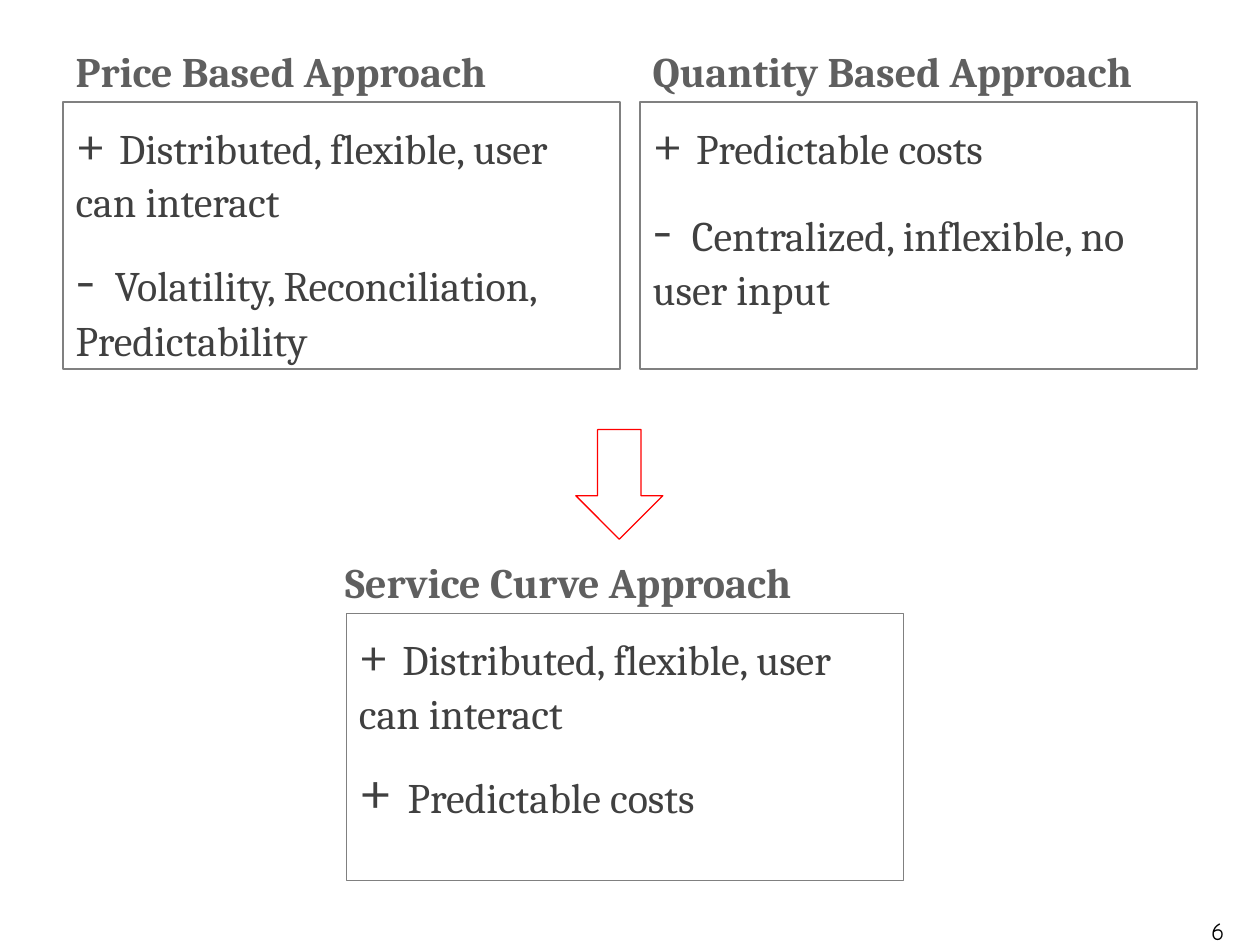
from lxml import etree
from pptx import Presentation
from pptx.dml.color import RGBColor
from pptx.enum import shapes, text
from pptx.oxml import ns
from pptx.util import Pt

INK = {"head": "5F5F5F", "body": "404040", "edge": "808080",
       "arrow": "FF0000", "page": "000000"}
WIDE, HEAD, BODY = 318.24, 50.4, 152.64

FLEX = [("+ ", 32), ("Distributed, flexible, user can interact", 24)]
PRICE = [FLEX, [("-", 36), ("  Volatility, Reconciliation, Predictability", 24)]]
QUANTITY = [[("+ ", 32), ("Predictable costs", 24)],
            [("-", 36), ("  Centralized, inflexible, no user input", 24)]]
SERVICE = [FLEX, [("+ ", 36), ("Predictable costs", 24)]]


def color(name):
    return RGBColor.from_string(INK[name])


def place(shape, left, top, width, height):
    shape.left, shape.top = Pt(left), Pt(top)
    shape.width, shape.height = Pt(width), Pt(height)


def edge(shape, name):
    shape.line.color.rgb = color(name)
    shape.line.width = Pt(0.75)


def add_run(para, words, size, tint, font="Cambria", bold=False):
    run = para.add_run()
    run.text = words
    run.font.size, run.font.name, run.font.bold = Pt(size), font, bold
    run.font.color.rgb = color(tint)


def plain(para):
    """Flush left, no bullet, 20% space before."""
    props = para._p.get_or_add_pPr()
    props.set("marL", "0")
    props.set("indent", "0")
    gap = etree.SubElement(props, ns.qn("a:spcBef"))
    etree.SubElement(gap, ns.qn("a:spcPct")).set("val", "20000")
    etree.SubElement(props, ns.qn("a:buNone"))


def fill(shape, paras, tint, anchor, bold=False):
    frame = shape.text_frame
    frame.word_wrap = True
    frame.auto_size = text.MSO_AUTO_SIZE.NONE
    frame.vertical_anchor = anchor
    for i, runs in enumerate(paras):
        para = frame.add_paragraph() if i else frame.paragraphs[0]
        plain(para)
        for words, size in runs:
            add_run(para, words, size, tint, bold=bold)


def panel(head, body, left, top, title, points, shift=0):
    """Heading above an outlined box of points."""
    place(head, left + shift, top, WIDE, HEAD)
    fill(head, [[(title, 24)]], "head", text.MSO_ANCHOR.BOTTOM, bold=True)
    place(body, left, top + HEAD, WIDE, BODY)
    edge(body, "edge")
    fill(body, points, "body", text.MSO_ANCHOR.TOP)


def arrow(slide, left, top, width, height):
    shape = slide.shapes.add_shape(shapes.MSO_SHAPE.DOWN_ARROW,
                                   Pt(left), Pt(top), Pt(width), Pt(height))
    shape.shadow.inherit = False
    shape.fill.background()
    edge(shape, "arrow")


def page(slide, left, top, width, height):
    box = slide.shapes.add_textbox(Pt(left), Pt(top), Pt(width), Pt(height))
    box.text_frame.word_wrap = True
    para = box.text_frame.paragraphs[0]
    para.alignment = text.PP_ALIGN.CENTER
    add_run(para, "6", 14, "page", font="Comic Neue")


def main():
    deck = Presentation()
    deck.slide_width, deck.slide_height = Pt(720), Pt(540)
    slide = deck.slides.add_slide(deck.slide_layouts[4])
    title = slide.shapes.title.element
    title.getparent().remove(title)

    # Two approaches side by side
    holders = {h.placeholder_format.idx: h for h in slide.placeholders}
    panel(holders[1], holders[2], 36, 7.92, "Price Based Approach", PRICE)
    panel(holders[3], holders[4], 365.76, 7.92, "Quantity Based Approach", QUANTITY)

    # Page number
    page(slide, 671.76, 519.84, 48.24, 20.16)

    # Combined approach below
    head, body = (slide.shapes.add_textbox(0, 0, Pt(WIDE), Pt(tall))
                  for tall in (HEAD, BODY))
    panel(head, body, 198, 300.24, "Service Curve Approach", SERVICE, shift=-7.92)
    arrow(slide, 329.04, 245.52, 49.68, 62.64)

    deck.save("out.pptx")


if __name__ == "__main__":
    main()
